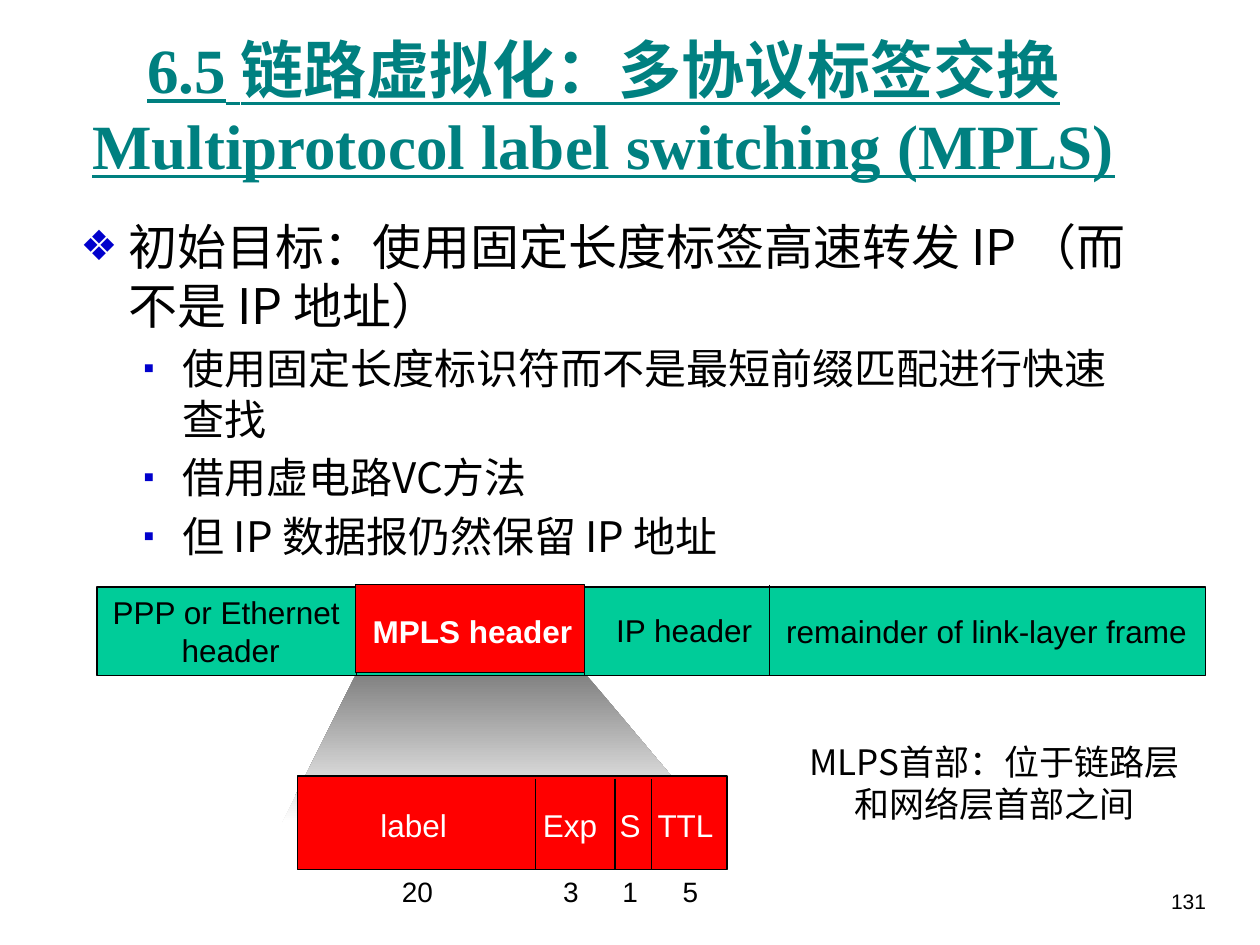
import pptx
import pptx.util
import pptx.dml.color
import pptx.enum.text
import pptx.enum.shapes
import pptx.oxml
import pptx.oxml.ns
from dataclasses import dataclass

Inches = pptx.util.Inches
Pt = pptx.util.Pt
RGB = pptx.dml.color.RGBColor.from_string
ALIGN = pptx.enum.text.PP_ALIGN
ANCHOR = pptx.enum.text.MSO_ANCHOR
AUTO = pptx.enum.text.MSO_AUTO_SIZE


@dataclass(frozen=True)
class Theme:
    title: str = "008080"
    bullet: str = "0000CC"
    ink: str = "000000"
    paper: str = "FFFFFF"
    frame: str = "00CC99"
    mpls: str = "FF0000"
    shade: str = "808080"
    sans: str = "Arial"
    serif: str = "Times New Roman"
    cjk: str = "Noto Sans CJK SC"
    title_size: int = 36
    body_size: int = 28
    sub_size: int = 24
    note_size: int = 20
    label_size: int = 18
    bits_size: int = 16
    page_size: int = 12
    line: float = 0.75


T = Theme()


def apply(obj, values):
    for name, value in values.items():
        setattr(obj, name, value)


def add_run(p, text, face, size, color, **extra):
    r = p.add_run()
    r.text = text
    apply(r.font, {"name": face, "size": Pt(size), **extra})
    r.font.color.rgb = RGB(color)
    ea = pptx.oxml.parse_xml(f'<a:ea {pptx.oxml.ns.nsdecls("a")} typeface="{face}"/>')
    r.font._element.find(pptx.oxml.ns.qn("a:latin")).addnext(ea)


def add_box(slide, box, **frame):
    sp = slide.shapes.add_textbox(*map(Inches, box))
    apply(sp.text_frame, {"word_wrap": True, **frame})
    return sp


def add_label(slide, box, text, size, color=T.ink, align=ALIGN.LEFT, **extra):
    tf = add_box(slide, box, word_wrap=False,
                 auto_size=AUTO.SHAPE_TO_FIT_TEXT).text_frame
    for i, line in enumerate(text.split("\n")):
        p = tf.add_paragraph() if i else tf.paragraphs[0]
        p.alignment = align
        add_run(p, line, T.sans, size, color, **extra)


def add_rect(slide, box, fill):
    kind = pptx.enum.shapes.MSO_SHAPE.RECTANGLE
    sp = slide.shapes.add_shape(kind, *map(Inches, box))
    sp.shadow.inherit = False
    sp.fill.solid()
    sp.fill.fore_color.rgb = RGB(fill)
    sp.line.color.rgb = RGB(T.ink)
    sp.line.width = Pt(T.line)


def add_divider(slide, x, top, bottom):
    kind = pptx.enum.shapes.MSO_CONNECTOR.STRAIGHT
    cx = slide.shapes.add_connector(kind, *map(Inches, (x, top, x, bottom)))
    cx.line.color.rgb = RGB(T.ink)
    cx.line.width = Pt(T.line)
    cx._element.spPr.append(
        pptx.oxml.parse_xml(f'<a:effectLst {pptx.oxml.ns.nsdecls("a")}/>'))


def add_bullet(p, char, size, left, hang):
    pPr = p._p.get_or_add_pPr()
    pPr.set("marL", str(Inches(left)))
    pPr.set("indent", str(-Inches(hang)))
    ns = pptx.oxml.ns.nsdecls("a")
    for xml in (
        f'<a:buClr {ns}><a:srgbClr val="{T.bullet}"/></a:buClr>',
        f'<a:buSzPct {ns} val="{size * 1000}"/>',
        f'<a:buFont {ns} typeface="{T.sans}"/>',
        f'<a:buChar {ns} char="{char}"/>',
    ):
        pPr.append(pptx.oxml.parse_xml(xml))


def build_title(slide, box):
    p = add_box(slide, box, vertical_anchor=ANCHOR.MIDDLE).text_frame.paragraphs[0]
    p.alignment = ALIGN.CENTER
    style = {"size": T.title_size, "color": T.title, "bold": True, "underline": True}
    add_run(p, "6.5", T.serif, **style)
    add_run(p, " 链路虚拟化：多协议标签交换", T.cjk, **style)
    p.add_line_break()
    add_run(p, "Multiprotocol label switching (MPLS)", T.serif, **style)


def build_body(slide, box):
    tf = add_box(slide, box).text_frame
    p = tf.paragraphs[0]
    add_bullet(p, "❖", 85, 0.38, 0.38)
    add_run(p, "初始目标：使用固定长度标签高速转发 IP （而不是 IP 地址）",
            T.cjk, T.body_size, T.ink)
    for text in (
        "使用固定长度标识符而不是最短前缀匹配进行快速查找",
        "借用虚电路VC方法",
        "但 IP 数据报仍然保留 IP 地址",
    ):
        p = tf.add_paragraph()
        apply(p, {"level": 1, "space_before": Pt(T.sub_size * 0.2)})
        add_bullet(p, "▪", 75, 0.81, 0.31)
        add_run(p, text, T.cjk, T.sub_size, T.ink)


def build_funnel(slide, box):
    x, y, w, h = box
    points = [(x + 0.59, y), (x, y + h), (x + w, y + h), (x + w - 1, y)]
    points = [tuple(map(Inches, pt)) for pt in points]
    fb = slide.shapes.build_freeform(*points[0])
    fb.add_line_segments(points[1:], close=True)
    sp = fb.convert_to_shape()
    sp.shadow.inherit = False
    sp.line.fill.background()
    sp.fill.gradient()
    sp.fill.gradient_angle = 270
    for stop, color in zip(sp.fill.gradient_stops, (T.shade, T.paper)):
        stop.color.rgb = RGB(color)


def build_frame(slide, box):
    x, y, w, h = box
    add_rect(slide, box, T.frame)
    for dx in (2.06, 3.87, 5.34):
        add_divider(slide, x + dx, y - 0.02, y + h)
    add_rect(slide, (x + 2.05, y - 0.02, 1.82, h), T.mpls)
    for dx, dy, width, height, text, align, style in (
        (0.02, 0, 2.08, 0.7, "PPP or Ethernet \nheader", ALIGN.CENTER, {}),
        (1.98, 0.15, 2, 0.4, "MPLS header", ALIGN.CENTER,
         {"color": T.paper, "bold": True}),
        (4.02, 0.14, 1.28, 0.4, "IP header", ALIGN.CENTER, {}),
        (5.37, 0.15, 3.38, 0.4, "remainder of link-layer frame", ALIGN.LEFT, {}),
    ):
        add_label(slide, (x + dx, y + dy, width, height), text, T.label_size,
                  align=align, **style)


def build_header(slide, box):
    x, y, w, h = box
    add_rect(slide, box, T.mpls)
    fields = (
        ("label", 0.56, 0.73, "20", 0.73, 0.45),
        ("Exp", 1.85, 0.63, "3", 2.01, 0.32),
        ("S", 2.46, 0.37, "1", 2.48, 0.32),
        ("TTL", 2.76, 0.65, "5", 2.96, 0.32),
    )
    for name, dx, width, bits, bits_dx, bits_width in fields:
        add_label(slide, (x + dx, y + 0.19, width, 0.4), name, T.label_size, T.paper)
        add_label(slide, (x + bits_dx, y + h - 0.01, bits_width, 0.37), bits, T.bits_size)
    for dx in (1.89, 2.52, 2.81):
        add_divider(slide, x + dx, y + 0.02, y + h)


def build_text(slide, box, text, face, size, align):
    p = add_box(slide, box).text_frame.paragraphs[0]
    p.alignment = align
    add_run(p, text, face, size, T.ink)


def main():
    prs = pptx.Presentation()
    apply(prs, {"slide_width": Inches(10), "slide_height": Inches(7.5)})
    s = prs.slides.add_slide(prs.slide_layouts[6])
    build_text(s, (8.93, 7, 0.74, 0.5), "131", T.sans, T.page_size, ALIGN.RIGHT)
    build_title(s, (0.54, 0.21, 8.5, 1.27))
    build_body(s, (0.54, 1.67, 8.5, 5.08))
    build_funnel(s, (2.24, 5.34, 3.4, 1.19))
    build_frame(s, (0.77, 4.66, 8.8, 0.7))
    build_header(s, (2.36, 6.16, 3.41, 0.74))
    build_text(s, (6.26, 5.83, 3.27, 0.91), "MLPS首部：位于链路层和网络层首部之间",
               T.cjk, T.note_size, ALIGN.CENTER)
    prs.save("out.pptx")


if __name__ == "__main__":
    main()
